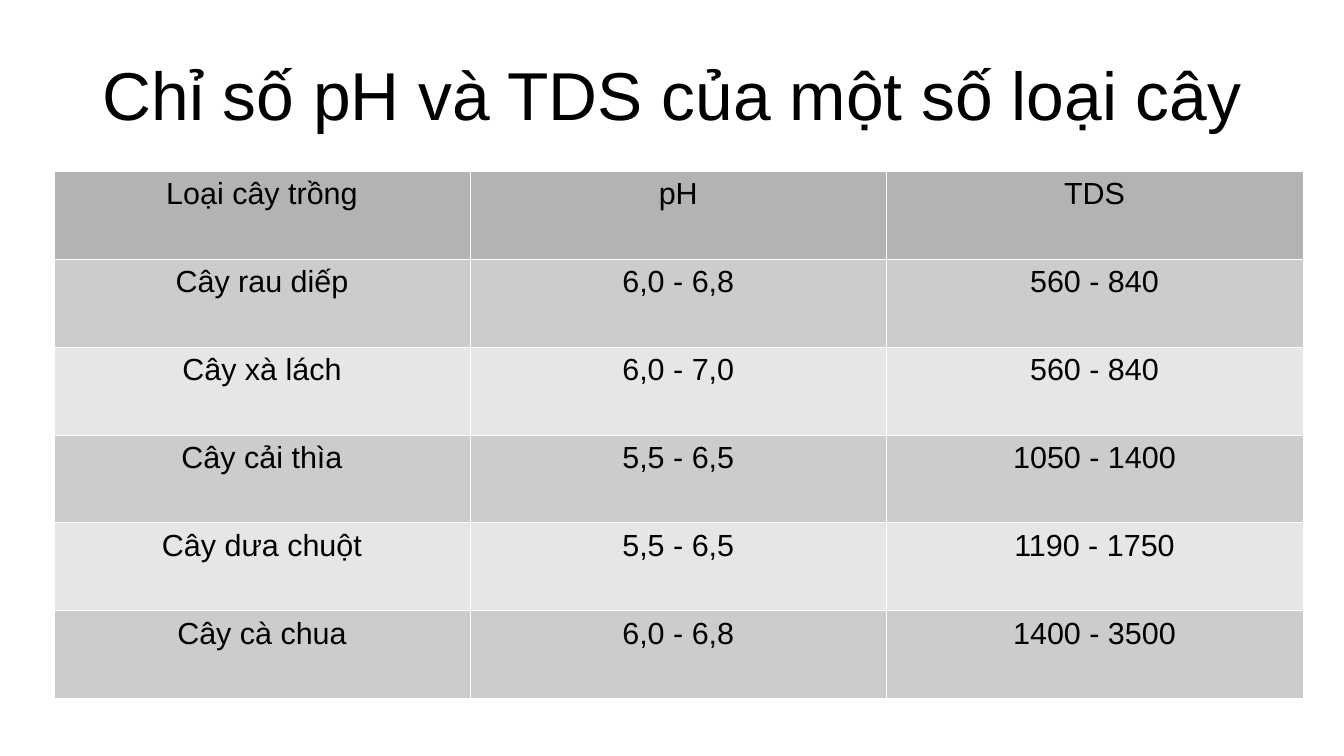
from lxml.etree import SubElement
from pptx import Presentation
from pptx.dml.color import RGBColor
from pptx.enum.text import MSO_ANCHOR, PP_ALIGN
from pptx.oxml.ns import qn
from pptx.util import Pt

TITLE = "Chỉ số pH và TDS của một số loại cây"
CROPS = [
    ("Loại cây trồng", "pH", "TDS"),
    ("Cây rau diếp", "6,0 - 6,8", "560 - 840"),
    ("Cây xà lách", "6,0 - 7,0", "560 - 840"),
    ("Cây cải thìa", "5,5 - 6,5", "1050 - 1400"),
    ("Cây dưa chuột", "5,5 - 6,5", "1190 - 1750"),
    ("Cây cà chua", "6,0 - 6,8", "1400 - 3500"),
]
HEADER_FILL = "B3B3B3"
BAND_FILLS = ("E6E6E6", "CCCCCC")
BORDER = "FFFFFF"
COLUMN_WIDTH, ROW_HEIGHT = 245.75, 51.9


def color(hex_value):
    return RGBColor.from_string(hex_value)


def apply(target, formats):
    for name, value in formats.items():
        setattr(target, name, value)


def write(frame, wording, size):
    paragraph = frame.paragraphs[0]
    paragraph.alignment = PP_ALIGN.CENTER
    run = paragraph.add_run()
    run.text = wording
    apply(run.font, {"name": "Arial", "size": Pt(size)})
    run.font.color.rgb = color("000000")


def add_title(slide, wording):
    heading = slide.shapes.add_textbox(Pt(39.6), Pt(18), Pt(714.2), Pt(74.9))
    apply(heading.text_frame, {
        "word_wrap": True, "vertical_anchor": MSO_ANCHOR.MIDDLE,
        "margin_left": 0, "margin_right": 0, "margin_top": 0, "margin_bottom": 0,
    })
    write(heading.text_frame, wording, 40)


def add_borders(cell):
    properties = cell._tc.get_or_add_tcPr()
    for side in ("a:lnL", "a:lnR", "a:lnT", "a:lnB"):
        border = SubElement(properties, qn(side), w=str(Pt(0.06)))
        fill = SubElement(border, qn("a:solidFill"))
        SubElement(fill, qn("a:srgbClr"), val=BORDER)


def fill_cell(cell, wording, background):
    apply(cell, {
        "margin_left": Pt(7.2), "margin_right": Pt(7.2),
        "margin_top": Pt(3.6), "margin_bottom": Pt(3.6),
        "vertical_anchor": MSO_ANCHOR.TOP,
    })
    add_borders(cell)
    cell.fill.solid()
    cell.fill.fore_color.rgb = color(background)
    write(cell.text_frame, wording, 18)


def add_crop_table(slide, crops):
    row_count, column_count = len(crops), len(crops[0])
    table = slide.shapes.add_table(
        row_count, column_count, Pt(31.8), Pt(101),
        Pt(COLUMN_WIDTH * column_count), Pt(ROW_HEIGHT * row_count)).table
    for column in table.columns:
        column.width = Pt(COLUMN_WIDTH)
    for index, (row, crop) in enumerate(zip(table.rows, crops)):
        row.height = Pt(ROW_HEIGHT)
        background = BAND_FILLS[index % 2] if index else HEADER_FILL
        for cell, wording in zip(row.cells, crop):
            fill_cell(cell, wording, background)


def main():
    presentation = Presentation()
    apply(presentation, {"slide_width": Pt(793.44), "slide_height": Pt(446.4)})
    slide = presentation.slides.add_slide(presentation.slide_layouts[6])
    add_title(slide, TITLE)
    add_crop_table(slide, CROPS)
    presentation.save("out.pptx")


main()
